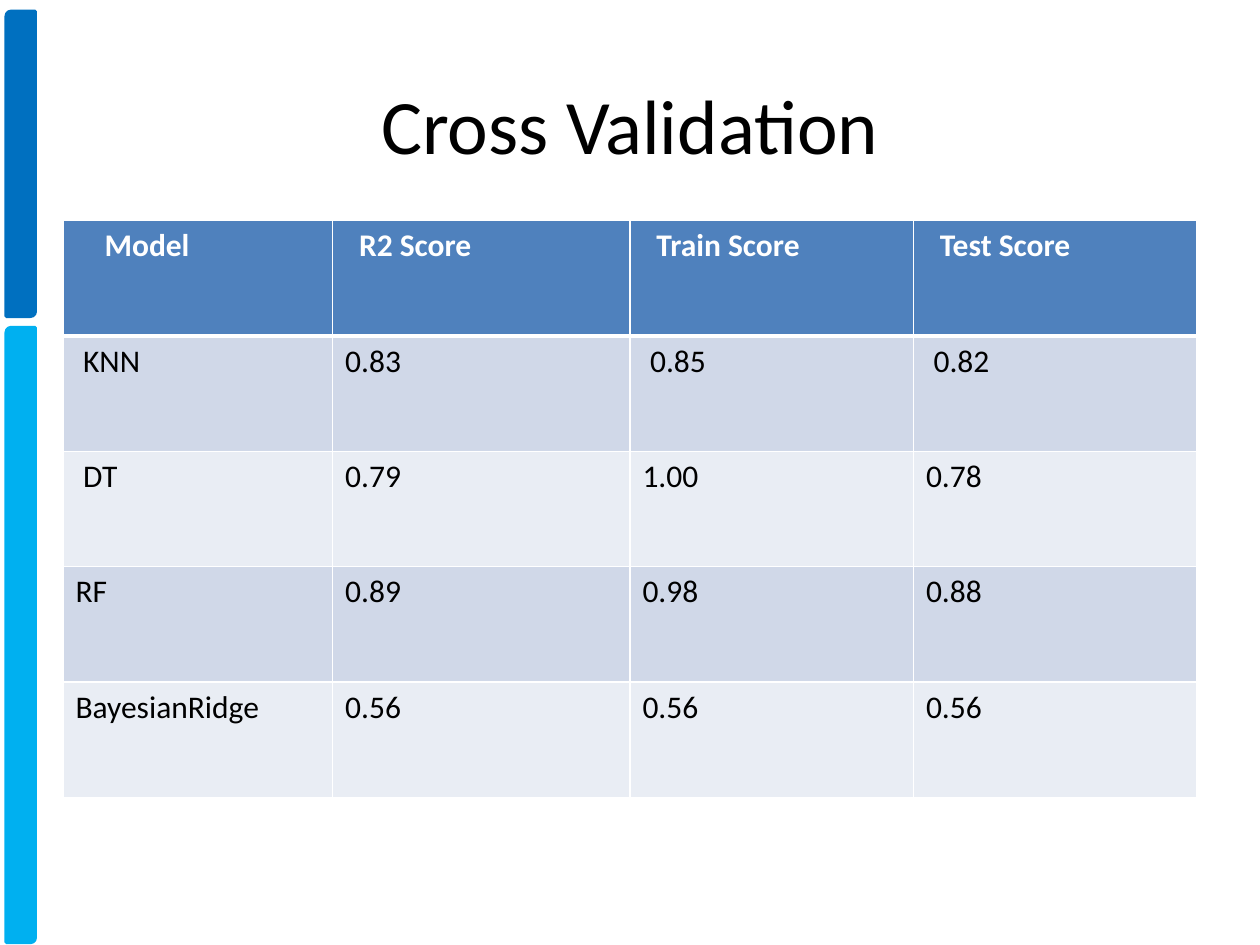
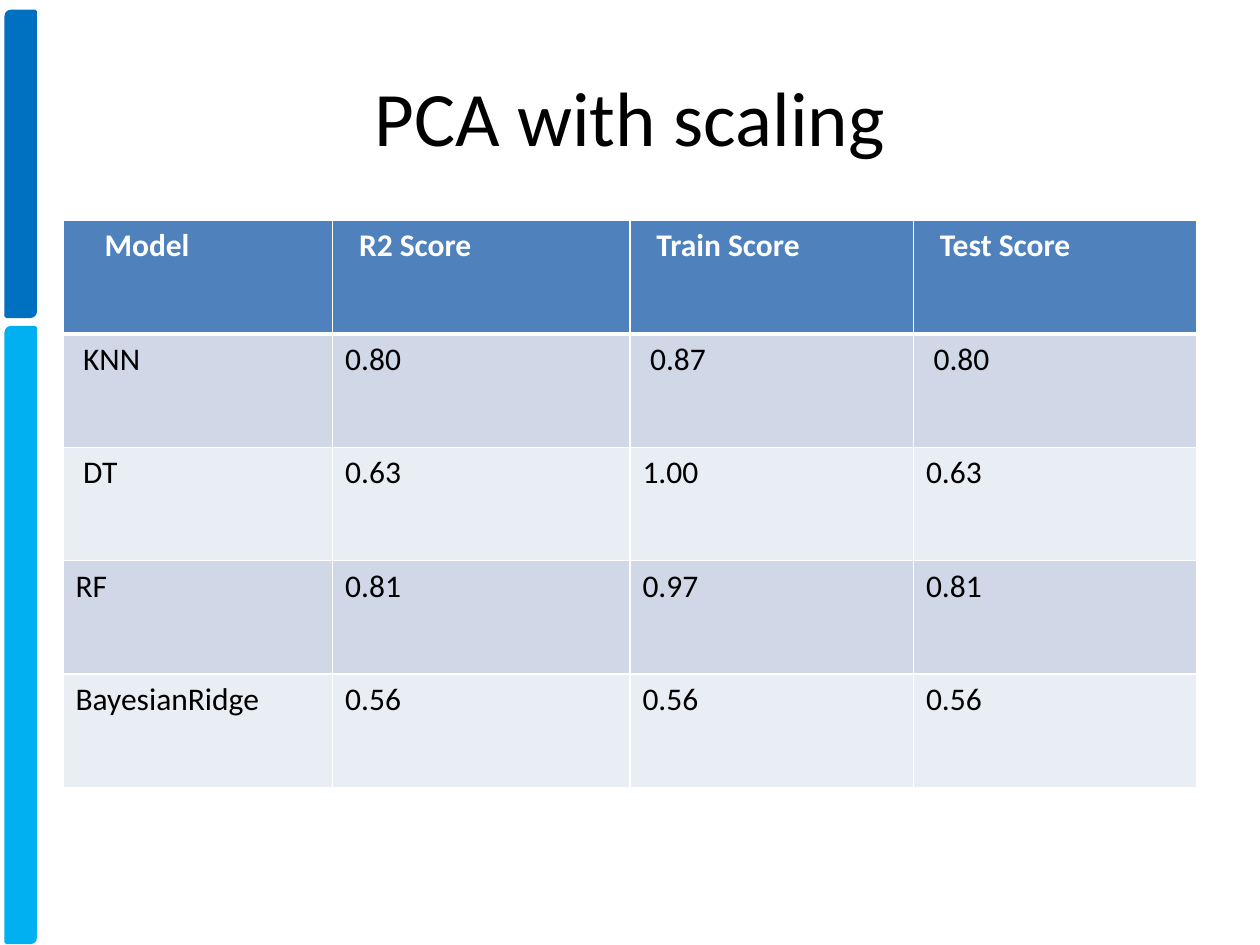
"""Build two slides that compare model scores in tables."""
from dataclasses import dataclass
from typing import Any

from lxml import etree
from pptx import Presentation
from pptx.dml.color import RGBColor
from pptx.enum.shapes import MSO_SHAPE
from pptx.enum.text import MSO_ANCHOR, PP_ALIGN
from pptx.oxml.ns import qn
from pptx.slide import Slide
from pptx.table import _Cell
from pptx.util import Emu, Pt

BAND_SHAPE = MSO_SHAPE.ROUND_2_DIAG_RECTANGLE
MIDDLE = MSO_ANCHOR.MIDDLE
TOP = MSO_ANCHOR.TOP
CENTER = PP_ALIGN.CENTER
LEFT = PP_ALIGN.LEFT

EMU_PER_PX = 9144
BLANK_LAYOUT = 6


@dataclass(frozen=True)
class Theme:
    font: str = "Calibri"
    title_size: int = 44
    table_size: int = 18
    text: str = "000000"
    background: str = "FFFFFF"
    header_text: str = "FFFFFF"
    header_fill: str = "4F81BD"
    row_fills: tuple[str, str] = ("D0D8E8", "E9EDF4")
    border: str = "FFFFFF"
    border_width: int = 1
    header_border_width: int = 3
    band_line_width: int = 2


@dataclass(frozen=True)
class Band:
    top: int
    height: int
    color: str


@dataclass(frozen=True)
class ScoreSlide:
    title: str
    title_height: int
    table_height: int
    scores: tuple[tuple[str, str, str], ...]


THEME = Theme()
SLIDE_WIDTH, SLIDE_HEIGHT = 1000, 750
CONTENT_LEFT, CONTENT_WIDTH = 50, 900
TITLE_TOP, TABLE_TOP = 42, 175
BAND_LEFT, BAND_WIDTH = 5, 23
BANDS = (Band(9, 242, "0070C0"), Band(260, 488, "00B0F0"))

COLUMN_WIDTHS = (214, 236, 225, 225)
CELL_MARGIN = 10
CELL_INDENTS = ((23, 11, 11, 11), (6, 0, 6, 6), (6, 0, 0, 0), (0, 0, 0, 0), (0, 0, 0, 0))
HEADINGS = ("Model", "R2 Score", "Train Score", "Test Score")
MODELS = ("KNN", "DT", "RF", "BayesianRidge")

SLIDES = (
    ScoreSlide("Cross Validation", 112, 458, (
        ("0.83", "0.85", "0.82"),
        ("0.79", "1.00", "0.78"),
        ("0.89", "0.98", "0.88"),
        ("0.56", "0.56", "0.56"),
    )),
    ScoreSlide("PCA with scaling", 100, 450, (
        ("0.80", "0.87", "0.80"),
        ("0.63", "1.00", "0.63"),
        ("0.81", "0.97", "0.81"),
        ("0.56", "0.56", "0.56"),
    )),
)


def px(length: int) -> Emu:
    """Turn a length in px into EMU."""
    return Emu(length * EMU_PER_PX)


def apply_format(target: Any, values: dict[str, Any]) -> None:
    """Set each named attribute on the target."""
    for name, value in values.items():
        setattr(target, name, value)


def fill_solid(fill: Any, color: str) -> None:
    """Give a fill one plain colour."""
    fill.solid()
    fill.fore_color.rgb = RGBColor.from_string(color)


def write_text(text_frame: Any, text: str, size: int, color: str,
               bold: bool = False, alignment: PP_ALIGN = LEFT) -> None:
    """Write one formatted paragraph."""
    paragraph = text_frame.paragraphs[0]
    paragraph.alignment = alignment
    run = paragraph.add_run()
    run.text = text
    apply_format(run.font, {"name": THEME.font, "size": Pt(size), "bold": bold})
    run.font.color.rgb = RGBColor.from_string(color)


def add_band(slide: Slide, band: Band) -> None:
    """Draw one coloured band at the left edge."""
    shape = slide.shapes.add_shape(
        BAND_SHAPE, px(BAND_LEFT), px(band.top), px(BAND_WIDTH), px(band.height))
    shape.shadow.inherit = False
    fill_solid(shape.fill, band.color)
    fill_solid(shape.line.fill, band.color)
    shape.line.width = Pt(THEME.band_line_width)


def add_title(slide: Slide, text: str, height: int) -> None:
    """Draw the centred slide title."""
    shape = slide.shapes.add_textbox(
        px(CONTENT_LEFT), px(TITLE_TOP), px(CONTENT_WIDTH), px(height))
    apply_format(shape.text_frame, {"word_wrap": True, "vertical_anchor": MIDDLE})
    write_text(shape.text_frame, text, THEME.title_size, THEME.text, alignment=CENTER)


def set_borders(cell: _Cell, row_index: int) -> None:
    """Draw the cell borders, thicker beneath the header row."""
    widths = dict.fromkeys(("lnL", "lnR", "lnT", "lnB"), THEME.border_width)
    if row_index == 0:
        widths["lnB"] = THEME.header_border_width
    elif row_index == 1:
        widths["lnT"] = THEME.header_border_width
    properties = cell._tc.get_or_add_tcPr()
    for position, (tag, width) in enumerate(widths.items()):
        line = etree.Element(qn(f"a:{tag}"), w=str(Pt(width)))
        solid_fill = etree.SubElement(line, qn("a:solidFill"))
        etree.SubElement(solid_fill, qn("a:srgbClr"), val=THEME.border)
        properties.insert(position, line)


def format_cell(cell: _Cell, text: str, row_index: int, indent: int) -> None:
    """Fill, border and write one table cell."""
    is_header = row_index == 0
    row_fill = THEME.row_fills[(row_index - 1) % len(THEME.row_fills)]
    fill_solid(cell.fill, THEME.header_fill if is_header else row_fill)
    set_borders(cell, row_index)
    apply_format(cell, {"margin_left": px(CELL_MARGIN + indent), "vertical_anchor": TOP})
    color = THEME.header_text if is_header else THEME.text
    write_text(cell.text_frame, text, THEME.table_size, color, bold=is_header)


def add_score_table(slide: Slide, content: ScoreSlide) -> None:
    """Draw the table of scores by model."""
    rows = [HEADINGS] + [(model, *scores) for model, scores in zip(MODELS, content.scores)]
    table = slide.shapes.add_table(
        len(rows), len(HEADINGS), px(CONTENT_LEFT), px(TABLE_TOP),
        px(CONTENT_WIDTH), px(content.table_height)).table
    for column, width in zip(table.columns, COLUMN_WIDTHS):
        column.width = px(width)
    for row_index, (texts, indents) in enumerate(zip(rows, CELL_INDENTS)):
        for column_index, (text, indent) in enumerate(zip(texts, indents)):
            format_cell(table.cell(row_index, column_index), text, row_index, indent)


def main() -> None:
    """Build the presentation and save it."""
    presentation = Presentation()
    apply_format(presentation, {
        "slide_width": px(SLIDE_WIDTH), "slide_height": px(SLIDE_HEIGHT)})
    for content in SLIDES:
        slide = presentation.slides.add_slide(presentation.slide_layouts[BLANK_LAYOUT])
        fill_solid(slide.background.fill, THEME.background)
        for band in BANDS:
            add_band(slide, band)
        add_title(slide, content.title, content.title_height)
        add_score_table(slide, content)
    presentation.save("out.pptx")


if __name__ == "__main__":
    main()
